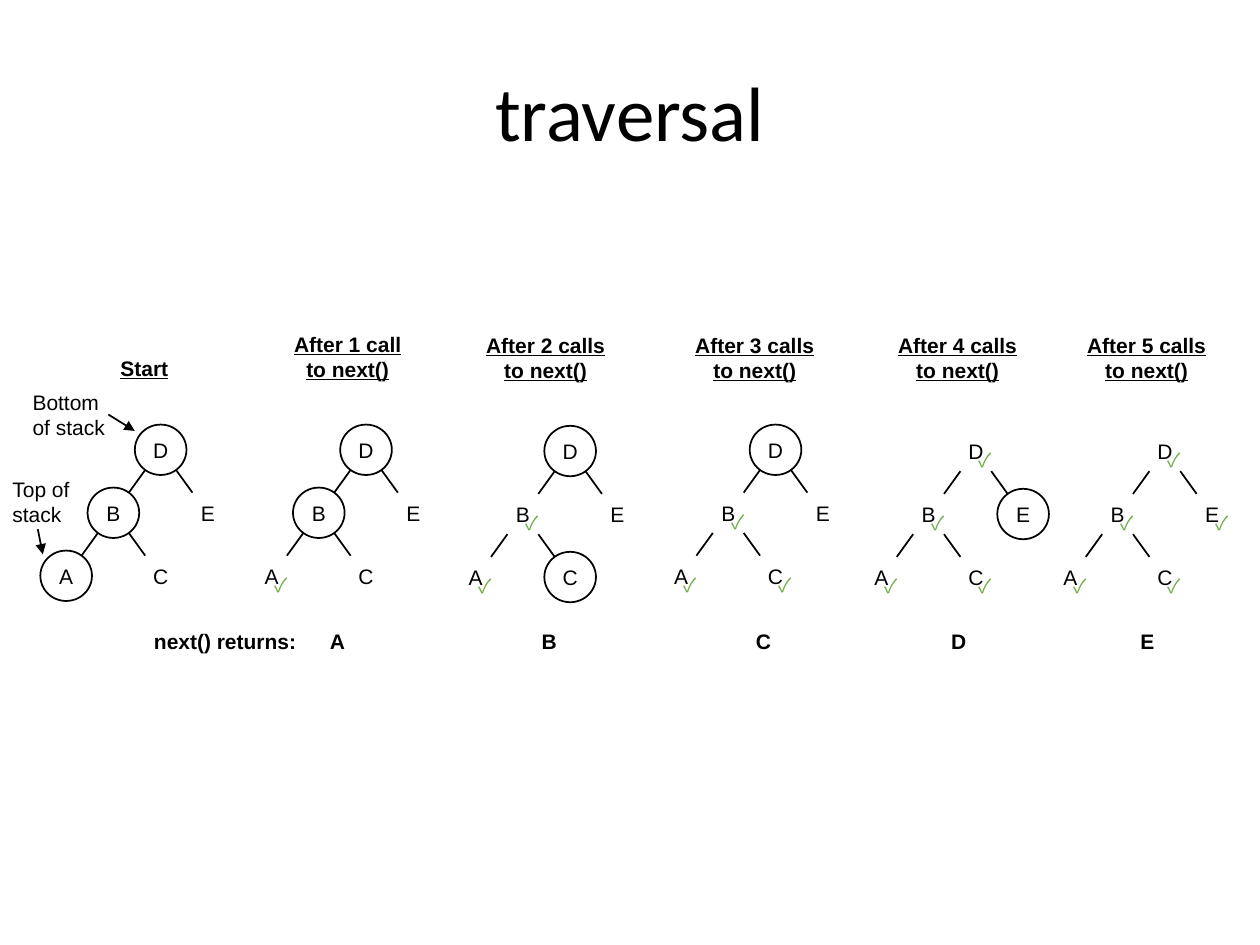
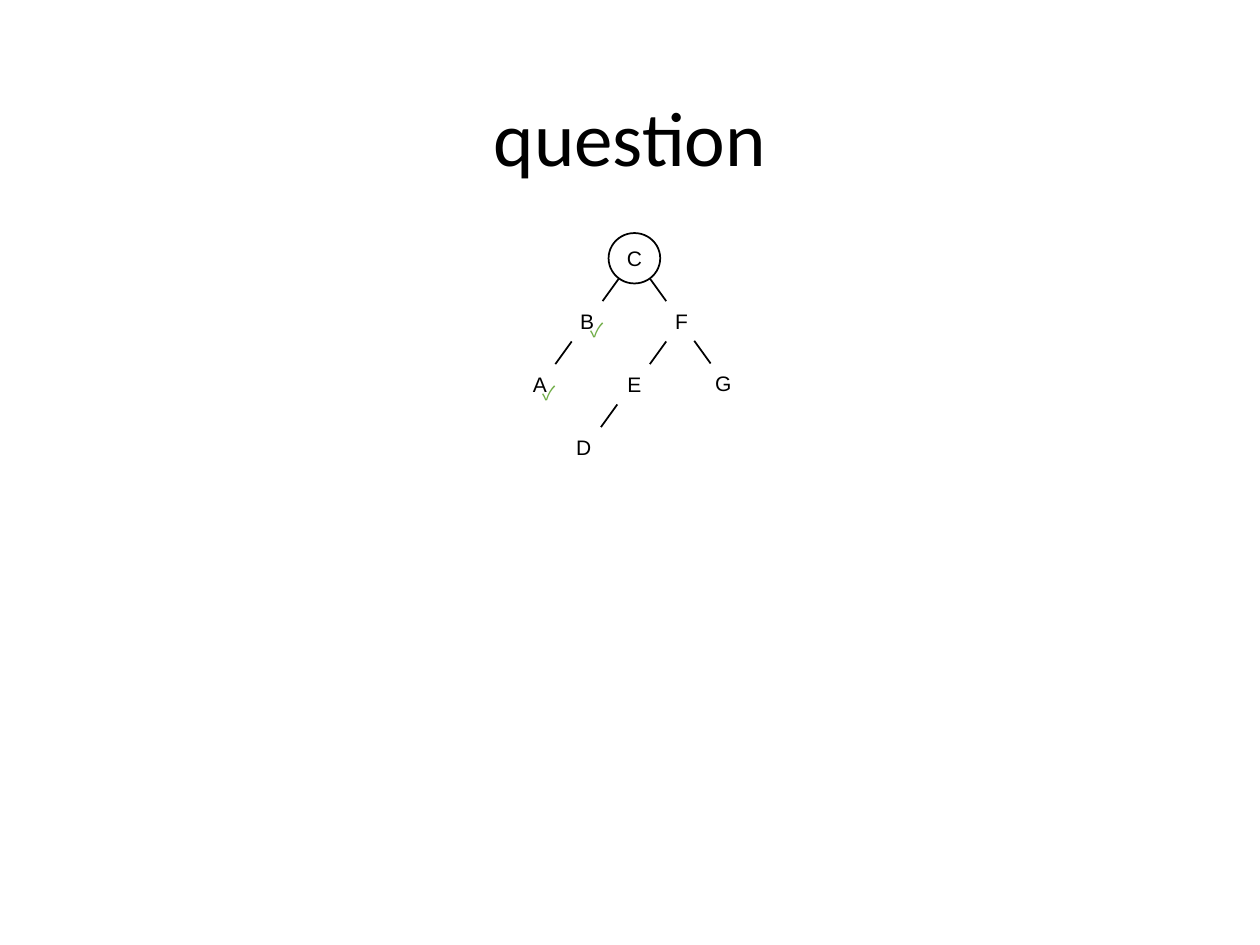
from pptx import Presentation
from pptx.dml.color import RGBColor
from pptx.enum import shapes, text
from pptx.oxml import parse_xml
from pptx.oxml.ns import nsdecls
from pptx.util import Inches, Pt

BLACK, GREEN = "000000", "70AD47"
BODY, TITLE, TICK = "Arial", "Calibri", "Noto Sans CJK JP"
LEFT, CENTER, RIGHT = text.PP_ALIGN.LEFT, text.PP_ALIGN.CENTER, text.PP_ALIGN.RIGHT
NODE_W, NODE_H = 0.41, 0.4
STEP_X, STEP_Y = 0.375, 0.5
EDGE_W, EDGE_H = 0.13, 0.18

TRAVERSAL_NODES = {"D": (0, 0), "B": (-1, 1), "A": (-2, 2), "E": (1, 1), "C": (0, 2)}
TRAVERSAL_EDGES = ("DB", "BA", "DE", "BC")
QUESTION_NODES = {"C": (0, 0), "B": (-1, 1), "A": (-2, 2), "F": (1, 1),
                  "E": (0, 2), "D": (-1.07, 3), "G": (1.88, 1.98)}
QUESTION_EDGES = ("CB", "BA", "CF", "FE", "ED", "FG")

# root x, root y, stacked, visited, heading, heading box, returned, returned x
STEPS = [
    (1.07, 3.37, "DBA", "", "Start", (0.84, 2.77, 0.61, 0.32), "", 0),
    (2.7, 3.37, "DB", "A", "After 1 call to next()", (2.16, 2.58, 1.2, 0.57), "A", 2.52),
    (4.32, 3.38, "DC", "AB", "After 2 calls to next()", (3.67, 2.59, 1.32, 0.57), "B", 4.2),
    (5.95, 3.37, "D", "ABC", "After 3 calls to next()", (5.33, 2.59, 1.32, 0.57), "C", 5.9),
    (7.54, 3.38, "E", "ABCD", "After 4 calls to next()", (6.94, 2.59, 1.32, 0.57), "D", 7.45),
    (9.04, 3.38, "", "ABCDE", "After 5 calls to next()", (8.44, 2.59, 1.32, 0.57), "E", 8.95),
]


def rgb(color):
    return RGBColor.from_string(color)


def write(sp, words, size=12, font=BODY, color=BLACK, align=LEFT,
          bold=False, underline=False):
    tf = sp.text_frame
    tf.word_wrap = True
    tf.text = words
    p = tf.paragraphs[0]
    p.alignment = align
    r = p.runs[0]
    r.font.size, r.font.name = Pt(size), font
    r.font.bold, r.font.underline = bold, underline
    r.font.color.rgb = rgb(color)
    r.font._element.append(parse_xml(f'<a:ea {nsdecls("a")} typeface="{font}"/>'))
    return tf


def add_text(s, box, words, **style):
    return write(s.shapes.add_textbox(*map(Inches, box)), words, **style)


def add_title(s, box, words):
    tf = add_text(s, box, words, size=44, font=TITLE, align=CENTER)
    tf.vertical_anchor = text.MSO_ANCHOR.MIDDLE
    tf.paragraphs[0].line_spacing = 0.9


def add_line(s, x1, y1, x2, y2, arrow=False):
    line = s.shapes.add_connector(shapes.MSO_CONNECTOR.STRAIGHT,
                                  *map(Inches, (x1, y1, x2, y2)))
    line.line.color.rgb = rgb(BLACK)
    line.line.width = Pt(1)
    line._element.spPr.append(parse_xml(f'<a:effectLst {nsdecls("a")}/>'))
    if arrow:
        line.line._get_or_add_ln().append(
            parse_xml(f'<a:tailEnd {nsdecls("a")} type="triangle"/>'))


def add_node(s, x, y, letter, stacked):
    sp = s.shapes.add_shape(shapes.MSO_SHAPE.OVAL,
                            *map(Inches, (x, y, NODE_W, NODE_H)))
    sp.shadow.inherit = False
    sp.fill.background()
    if stacked:
        sp.line.color.rgb = rgb(BLACK)
        sp.line.width = Pt(1)
    else:
        sp.line.fill.background()
    tf = write(sp, letter, align=CENTER)
    tf.vertical_anchor = text.MSO_ANCHOR.MIDDLE
    tf.margin_left = tf.margin_right = tf.margin_top = tf.margin_bottom = 0


def add_tree(s, x, y, nodes, edges, stacked, visited):
    places = {letter: (x + col * STEP_X, y + row * STEP_Y)
              for letter, (col, row) in nodes.items()}
    for letter, (left, top) in places.items():
        add_node(s, left, top, letter, letter in stacked)
    for parent, child in edges:
        (px, py), (cx, cy) = places[parent], places[child]
        mid_x = (px + cx + NODE_W) / 2
        mid_y = (py + cy + NODE_H) / 2
        half_w = EDGE_W / 2 if cx > px else -EDGE_W / 2
        add_line(s, mid_x - half_w, mid_y - EDGE_H / 2,
                 mid_x + half_w, mid_y + EDGE_H / 2)
    for letter in visited:
        left, top = places[letter]
        add_text(s, (left + 0.13, top + 0.13, 0.29, 0.24), "✓",
                 size=11, font=TICK, color=GREEN)


def add_stack_labels(s, x, y):
    add_text(s, (x, y + 0.69, 0.78, 0.32), "Top of stack")
    add_line(s, x + 0.3, y + 1.16, x + 0.34, y + 1.36, arrow=True)
    add_text(s, (x + 0.16, y, 0.78, 0.48), "Bottom of stack")
    add_line(s, x + 0.86, y + 0.25, x + 1.07, y + 0.38, arrow=True)


def traversal_slide(s):
    add_title(s, (0.5, 0.3, 9, 1.25), "traversal")
    add_stack_labels(s, 0, 3.04)
    add_text(s, (1.08, 4.94, 1.37, 0.37), "next() returns:", align=RIGHT, bold=True)
    for x, y, stacked, visited, heading, box, returned, returned_x in STEPS:
        add_tree(s, x, y, TRAVERSAL_NODES, TRAVERSAL_EDGES, stacked, visited)
        add_text(s, box, heading, align=CENTER, bold=True, underline=True)
        if returned:
            add_text(s, (returned_x, 4.94, 0.31, 0.37), returned,
                     align=CENTER, bold=True)


def question_slide(s):
    add_title(s, (0.69, 0.4, 8.62, 1.45), "question")
    add_tree(s, 4.83, 1.85, QUESTION_NODES, QUESTION_EDGES, "C", "AB")


def main():
    prs = Presentation()
    prs.slide_width, prs.slide_height = Inches(10), Inches(7.5)
    for build in (traversal_slide, question_slide):
        build(prs.slides.add_slide(prs.slide_layouts[6]))
    prs.save("out.pptx")


if __name__ == "__main__":
    main()
